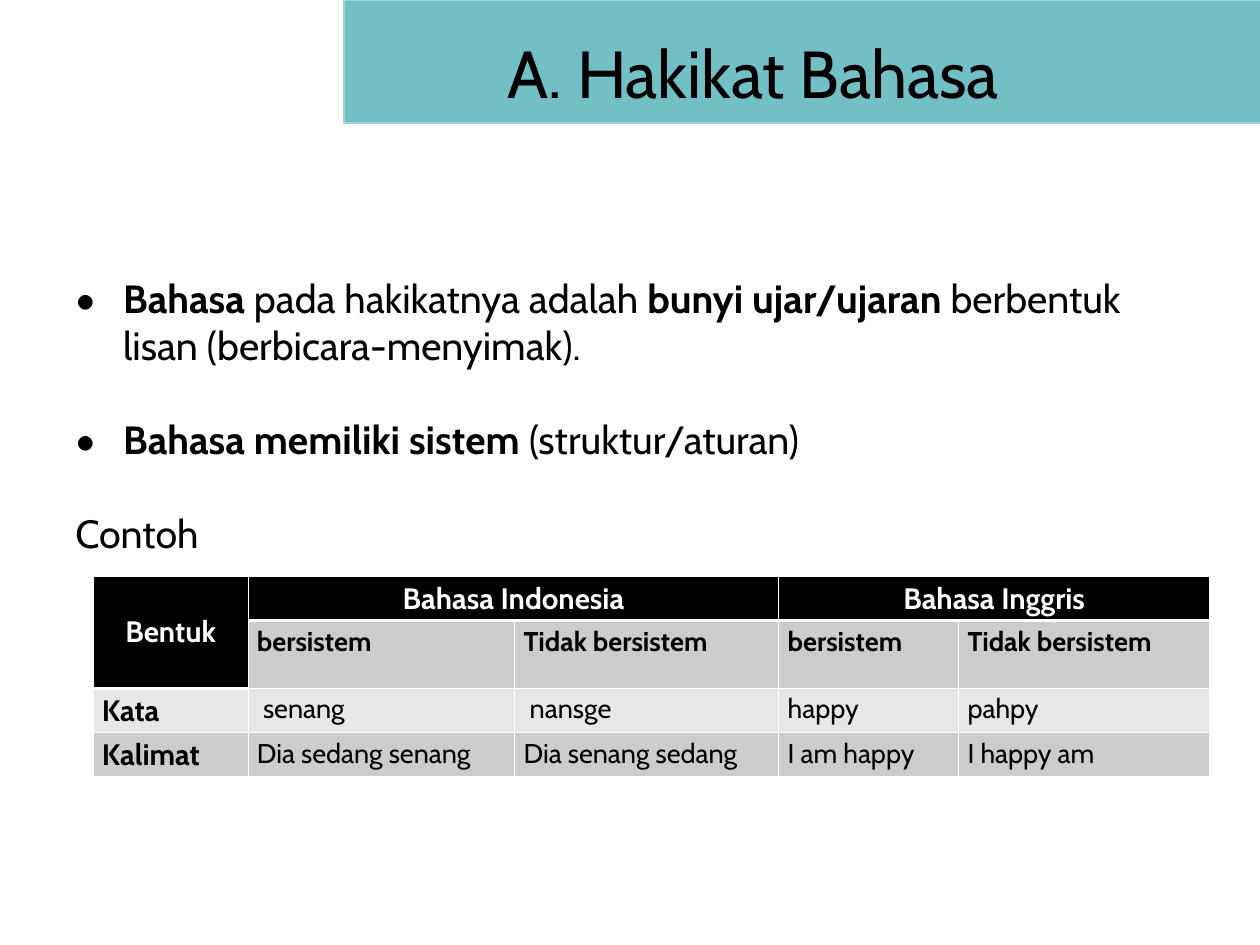
from lxml import etree
from pptx import Presentation
from pptx import util as u
from pptx.dml.color import RGBColor
from pptx.enum import shapes, text
from pptx.oxml import ns

PX = 9144


def style(run, size, color="000000", bold=False):
    font = run.font
    font.name, font.size, font.bold = "Cabin", u.Pt(size), bold
    font.color.rgb = RGBColor.from_string(color)


def write(left, top, width, height, anchor):
    frame = page.shapes.add_textbox(left * PX, top * PX, width * PX, height * PX).text_frame
    frame.word_wrap = True
    frame.vertical_anchor = anchor
    frame.margin_left = frame.margin_right = frame.margin_top = frame.margin_bottom = 6 * PX
    return frame


deck = Presentation()
deck.slide_width, deck.slide_height = 1422 * PX, 1067 * PX
page = deck.slides.add_slide(deck.slide_layouts[6])

band = page.shapes.add_shape(shapes.MSO_SHAPE.RECTANGLE, 388 * PX, 0, 1077 * PX, 139 * PX)
band.shadow.inherit = False
band.fill.solid()
band.fill.fore_color.rgb = RGBColor.from_string("72BFC5")
band.line.color.rgb = RGBColor.from_string("9ED3D7")
band.line.width = u.Pt(2)

title = write(278, 26, 1144, 111, text.MSO_ANCHOR.MIDDLE).paragraphs[0]
title.text = "A. Hakikat Bahasa"
title.alignment = text.PP_ALIGN.CENTER
style(title.runs[0], 54)

points = [
    (83, -54, [("Bahasa", True), (" pada hakikatnya adalah ", False),
               ("bunyi ujar/ujaran ", True),
               ("berbentuk lisan (berbicara-menyimak).", False)]),
    (83, -54, [("Bahasa memiliki sistem ", True), ("(struktur/aturan)", False)]),
    (29, 0, [("Contoh", False)]),
]
body = write(50, 303, 1315, 625, text.MSO_ANCHOR.TOP)
for i, (left, hang, parts) in enumerate(points):
    para = body.add_paragraph() if i else body.paragraphs[0]
    para.space_before = u.Pt(38 if i else 0)
    for words, bold in parts:
        run = para.add_run()
        run.text = words
        style(run, 32, bold=bold)
    props = para._p.get_or_add_pPr()
    props.set("marL", str(left * PX))
    props.set("indent", str(hang * PX))
    if hang:
        etree.SubElement(props, ns.qn("a:buSzPct"), val="171000")
        etree.SubElement(props, ns.qn("a:buFont"), typeface="Cabin")
        etree.SubElement(props, ns.qn("a:buChar"), char="•")

rows = [
    ["Bentuk", "Bahasa Indonesia", "", "Bahasa Inggris", ""],
    ["", "bersistem", "Tidak bersistem", "bersistem", "Tidak bersistem"],
    ["Kata", " senang", " nansge", "happy", "pahpy"],
    ["Kalimat", "Dia sedang senang", "Dia senang sedang", "I am happy", "I happy am"],
]
fills = ["000000", "CCCCCC", "E7E7E7", "CCCCCC"]
grid = page.shapes.add_table(4, 5, 105 * PX, 651 * PX, 1260 * PX, 226 * PX).table
for col, width in zip(grid.columns, [175, 301, 298, 203, 283]):
    col.width = width * PX
for row, height in zip(grid.rows, [50, 76, 50, 50]):
    row.height = height * PX
for top, left, low, right in [(0, 0, 1, 0), (0, 1, 0, 2), (0, 3, 0, 4)]:
    grid.cell(top, left).merge(grid.cell(low, right))

for r, row in enumerate(rows):
    for c, words in enumerate(row):
        cell = grid.cell(r, c)
        head = r == 0 or (r == 1 and c == 0)
        cell.fill.solid()
        cell.fill.fore_color.rgb = RGBColor.from_string("000000" if head else fills[r])
        props = cell._tc.get_or_add_tcPr()
        for n, side in enumerate(["lnL", "lnR", "lnT", "lnB"]):
            wide = 3 if head and side == "lnB" else 1
            edge = etree.Element(ns.qn("a:" + side), w=str(u.Pt(wide)))
            paint = etree.SubElement(edge, ns.qn("a:solidFill"))
            etree.SubElement(paint, ns.qn("a:srgbClr"), val="FFFFFF")
            props.insert(n, edge)
        if words:
            para = cell.text_frame.paragraphs[0]
            para.text = words
            style(para.runs[0], 24 if head or c == 0 else 22,
                  "FFFFFF" if head else "000000", r < 2 or c == 0)
            if head:
                para.alignment = text.PP_ALIGN.CENTER
                cell.vertical_anchor = text.MSO_ANCHOR.MIDDLE

deck.save("out.pptx")
